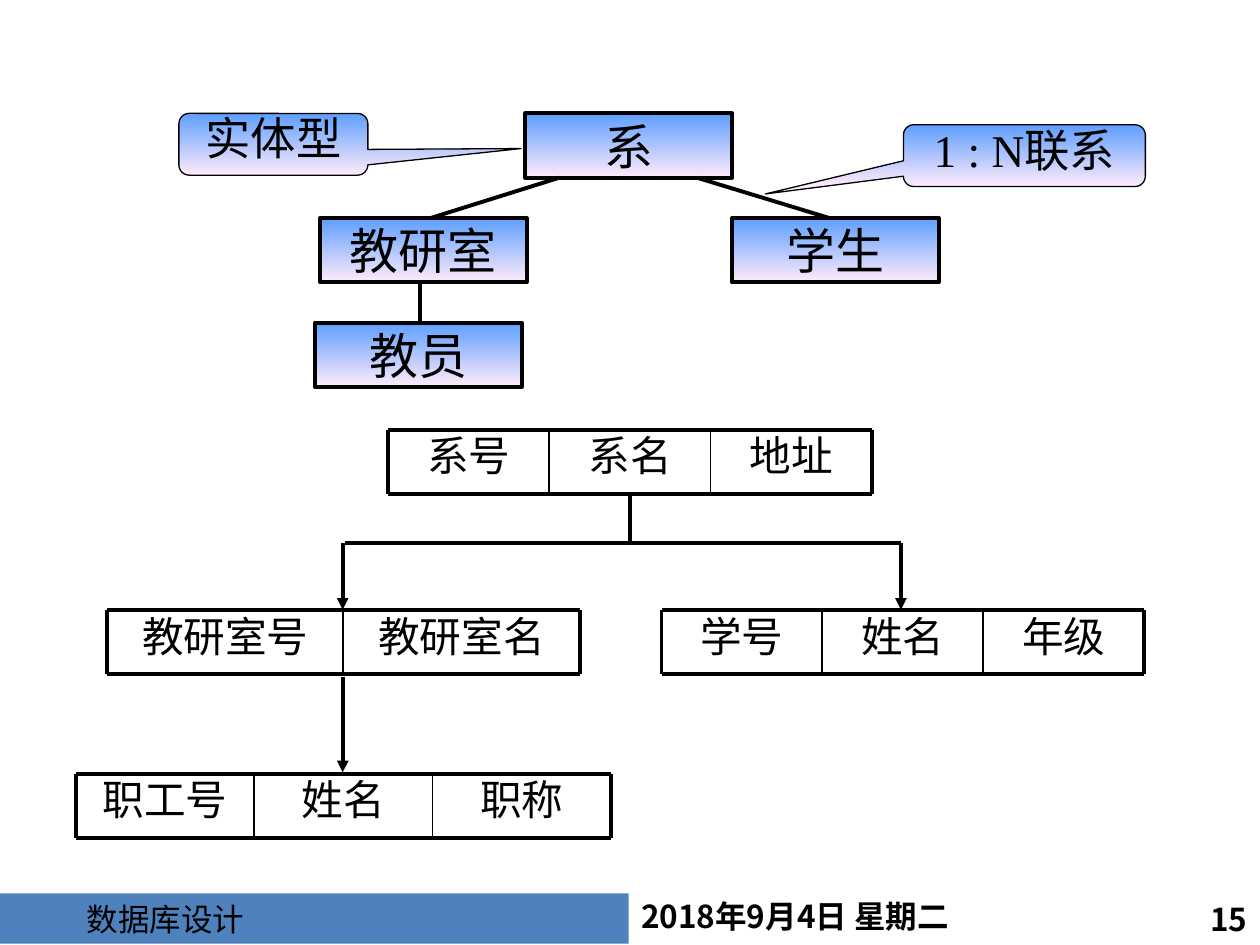
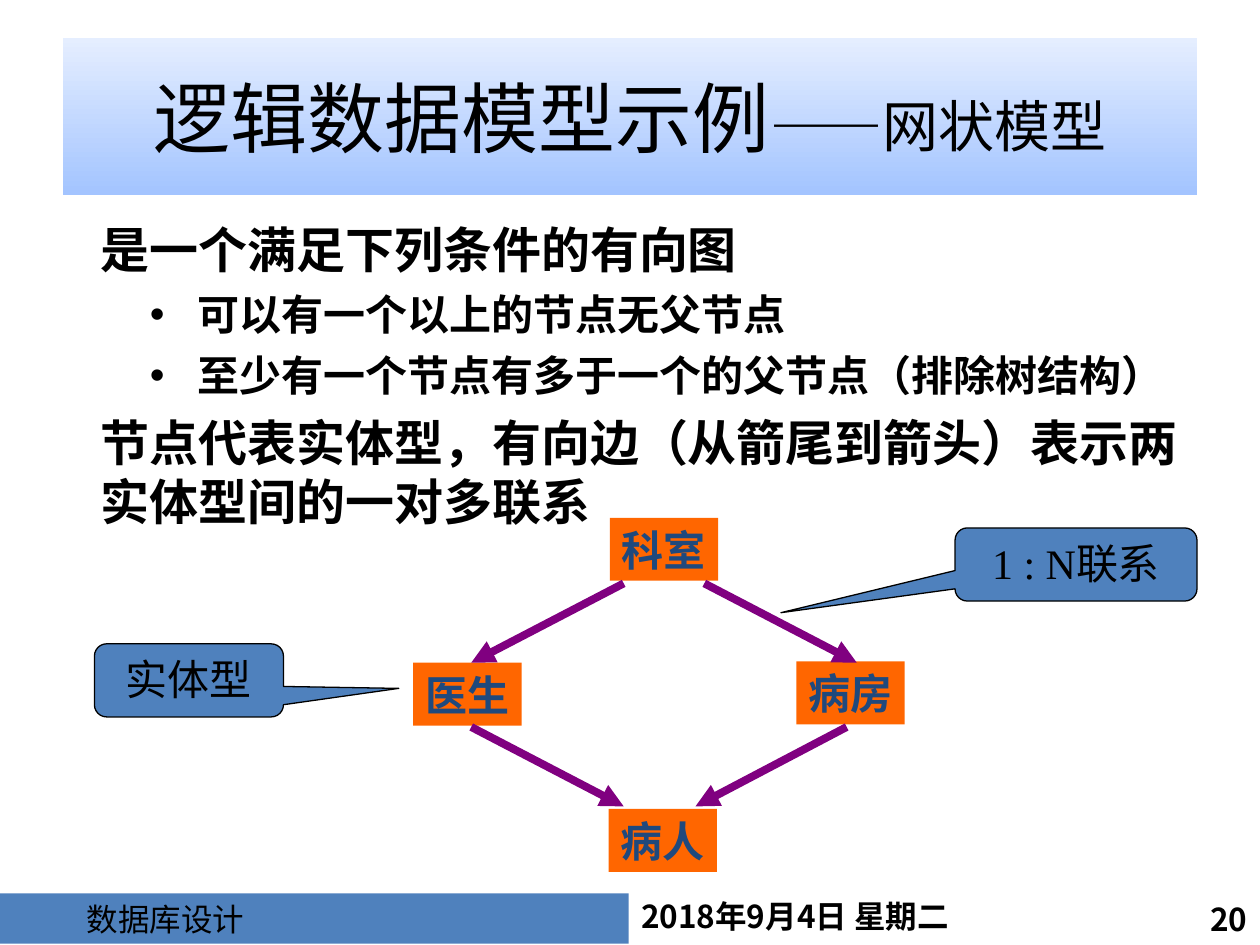
from lxml.etree import SubElement
from pptx import Presentation
from pptx.dml.color import RGBColor
from pptx.enum.shapes import MSO_CONNECTOR, MSO_SHAPE
from pptx.enum.text import MSO_ANCHOR, MSO_AUTO_SIZE, PP_ALIGN
from pptx.oxml.ns import qn
from pptx.util import Inches, Pt

HUES = {
    "ink": "000000", "bar": "4F81BD", "navy": "1F497D", "node": "FF6600",
    "edge": "800080", "sky": "5E9EFF", "rose": "FFEBFA",
    "pale": "E5EEFF", "blue": "A3C4FF",
}
SANS, SERIF = "Noto Sans CJK SC", "Times New Roman"
FADE = ("sky", "rose")
FLAT = {"margin_left": 0, "margin_right": 0, "margin_top": 0}
TIGHT = {**FLAT, "margin_bottom": 0}
MID = {"vertical_anchor": MSO_ANCHOR.MIDDLE}
TOP = {"vertical_anchor": MSO_ANCHOR.TOP}
MIDDLE = {"alignment": PP_ALIGN.CENTER}
ROW = 0.51


def hue(name):
    """Return the colour kept under a name."""
    return RGBColor.from_string(HUES[name])


def apply(item, form):
    """Set every attribute of a format dict."""
    for key, value in form.items():
        setattr(item, key, value)


class Deck:
    """Hold the style and the current slide."""

    def __init__(self):
        """Open an empty 4:3 deck."""
        self.file = Presentation()
        apply(self.file, {"slide_width": Inches(10), "slide_height": Inches(7.5)})

    def page(self, layout, number):
        """Start a slide with its footer."""
        self.slide = self.file.slides.add_slide(self.file.slide_layouts[layout])
        bold = {"bold": True}
        self.text((4.99, 7.07, 3.56, 0.4), "2018年9月4日 星期二", 18, SANS, font=bold)
        self.text((8.7, 7.09, 1.3, 0.46), number, 18, SANS,
                  {"alignment": PP_ALIGN.RIGHT}, font=bold)
        bar = self.shape(MSO_SHAPE.RECTANGLE, (0, 7.09, 4.99, 0.4), "bar")
        apply(bar.text_frame, TOP)
        para = self.words(bar.text_frame.paragraphs[0], "数据库设计", 18,
                          "Noto Sans CJK JP", {"alignment": PP_ALIGN.LEFT})
        self.indent(para, 0.59)

    def words(self, para, words, size, face, form=None, font=None, ink="ink"):
        """Add a formatted run to a paragraph."""
        apply(para, form or {})
        run = para.add_run()
        run.text = words
        apply(run.font, {"size": Pt(size), "name": face, **(font or {})})
        run.font.color.rgb = hue(ink)
        east = SubElement(run.font._element, qn("a:ea"))
        east.set("typeface", face if face.startswith("Noto") else SANS)
        return para

    def indent(self, para, left, first=0, dot=False):
        """Set the indents and the bullet of a paragraph."""
        props = para._p.get_or_add_pPr()
        props.set("marL", str(Inches(left)))
        props.set("indent", str(Inches(first)))
        if dot:
            SubElement(props, qn("a:buChar")).set("char", "•")
        else:
            SubElement(props, qn("a:buNone"))

    def paint(self, shape, fill):
        """Fill with one colour or with a pair fading downwards."""
        if isinstance(fill, tuple):
            shape.fill.gradient()
            shape.fill.gradient_angle = 270
            for stop, name in zip(shape.fill.gradient_stops, fill):
                stop.color.rgb = hue(name)
        else:
            shape.fill.solid()
            shape.fill.fore_color.rgb = hue(fill)

    def shape(self, kind, box, fill, width=0):
        """Add a filled shape, outlined if a width is given."""
        shape = self.slide.shapes.add_shape(kind, *map(Inches, box))
        shape.shadow.inherit = False
        self.paint(shape, fill)
        if width:
            shape.line.color.rgb = hue("ink")
            shape.line.width = Pt(width)
        else:
            shape.line.fill.background()
        return shape

    def text(self, box, words, size, face, form=None, font=None):
        """Add a text box."""
        frame = self.slide.shapes.add_textbox(*map(Inches, box)).text_frame
        frame.word_wrap = True
        self.words(frame.paragraphs[0], words, size, face, form, font)

    def box(self, left, top, words):
        """Add an outlined entity box."""
        box = self.shape(MSO_SHAPE.RECTANGLE, (left, top, 1.64, ROW), FADE, 2.25)
        apply(box.text_frame, {**TIGHT, **MID})
        self.words(box.text_frame.paragraphs[0], words, 28, SANS, MIDDLE)

    def node(self, left, top, words):
        """Add a graph node."""
        node = self.shape(MSO_SHAPE.RECTANGLE, (left, top, 0.86, 0.5), "node")
        apply(node.text_frame, {"word_wrap": False, **MID})
        self.words(node.text_frame.paragraphs[0], words, 24, SERIF,
                   {**MIDDLE, "space_before": Pt(15)}, {"bold": True}, "navy")

    def callout(self, box, tip, words, fill, size, frame, form):
        """Add a rounded callout pointing at a tip."""
        note = self.shape(MSO_SHAPE.ROUNDED_RECTANGULAR_CALLOUT, box, fill, 0.75)
        for spot, value in enumerate(tip):
            note.adjustments[spot] = value
        apply(note.text_frame, frame)
        self.words(note.text_frame.paragraphs[0], words, size, SERIF, {**MIDDLE, **form})

    def line(self, ends, width=2.25, ink="ink", arrow=False):
        """Add a straight line, with an arrowhead if asked."""
        line = self.slide.shapes.add_connector(MSO_CONNECTOR.STRAIGHT, *map(Inches, ends))
        line.line.color.rgb = hue(ink)
        line.line.width = Pt(width)
        if arrow:
            SubElement(line.line._get_or_add_ln(), qn("a:tailEnd")).set("type", "triangle")
        SubElement(line._element.spPr, qn("a:effectLst"))

    def record(self, left, top, wide, fields):
        """Add a ruled record of equal fields."""
        step, right, low = wide / len(fields), left + wide, top + ROW
        form = {**MIDDLE, "line_spacing": 0.9, "space_before": Pt(7)}
        for spot, field in enumerate(fields):
            self.text((left + spot * step, top, step, ROW), field, 23.8, "Karla", form)
        for y in (top, low):
            self.line((left, y, right, y))
        for spot in range(len(fields) + 1):
            x = left + spot * step
            self.line((x, top, x, low), 2.25 if spot in (0, len(fields)) else 1)

    def title(self, parts):
        """Fill the title placeholder with sized parts."""
        head = self.slide.shapes.title
        self.place(head, (0.5, 0.3, 9, 1.25))
        self.paint(head, ("pale", "blue"))
        apply(head.text_frame, MID)
        for words, size in parts:
            self.words(head.text_frame.paragraphs[0], words, size, SANS, MIDDLE)

    def place(self, shape, box):
        """Move a placeholder and stop its autofit."""
        apply(shape, dict(zip(("left", "top", "width", "height"), map(Inches, box))))
        apply(shape.text_frame, {"auto_size": MSO_AUTO_SIZE.NONE, "word_wrap": True})

    def body(self, items):
        """Fill the body placeholder with levelled items."""
        body = self.slide.placeholders[1]
        self.place(body, (0.5, 1.69, 9, 4.34))
        frame = body.text_frame
        for spot, (level, words) in enumerate(items):
            para = frame.add_paragraph() if spot else frame.paragraphs[0]
            self.words(para, words, 24 if level else 28, "Calibri",
                       {"level": level, "space_before": Pt(6 if level else 7)}, {"bold": True})
            self.indent(para, *((0.97, -0.38, True) if level else (0.2,)))


deck = Deck()

deck.page(6, "15")
for rec in (
    (3.08, 3.41, 3.84, ("系号", "系名", "地址")),
    (0.85, 4.84, 3.75, ("教研室号", "教研室名")),
    (5.25, 4.84, 3.83, ("学号", "姓名", "年级")),
    (0.6, 6.14, 4.25, ("职工号", "姓名", "职称")),
):
    deck.record(*rec)
for ends in ((2.72, 4.31, 2.72, 4.84), (7.15, 4.31, 7.15, 4.84), (2.72, 5.37, 2.72, 6.13)):
    deck.line(ends, arrow=True)
for ends in ((2.74, 4.31, 7.15, 4.31), (5, 3.94, 5, 4.31)):
    deck.line(ends)
for box in ((4.17, 0.9, "系"), (2.54, 1.73, "教研室"), (5.81, 1.73, "学生"), (2.5, 2.56, "教员")):
    deck.box(*box)
for ends in ((4.44, 1.41, 3.42, 1.73), (5.53, 1.41, 6.58, 1.73), (3.33, 2.23, 3.33, 2.57)):
    deck.line(ends)
for box, tip, words in (
    ((7.17, 0.99, 1.92, 0.49), (-1.07, 0.62), "1 : N联系"),
    ((1.42, 0.9, 1.5, 0.49), (1.31, 0.07), "实体型"),
):
    deck.callout(box, tip, words, FADE, 25.9, {**FLAT, **MID}, {"line_spacing": 0.9})

deck.page(1, "20")
deck.title((("逻辑数据模型示例", 44), ("——网状模型", 32)))
deck.body((
    (0, "是一个满足下列条件的有向图"),
    (1, "可以有一个以上的节点无父节点"),
    (1, "至少有一个节点有多于一个的父节点（排除树结构）"),
    (0, "节点代表实体型，有向边（从箭尾到箭头）表示两实体型间的一对多联系"),
))
for node in ((4.84, 4.11, "科室"), (3.28, 5.26, "医生"), (6.32, 5.25, "病房"), (4.83, 6.42, "病人")):
    deck.node(*node)
for ends in (
    (4.95, 4.63, 3.74, 5.26), (5.59, 4.63, 6.8, 5.26),
    (3.74, 5.77, 4.95, 6.4), (6.72, 5.77, 5.52, 6.4),
):
    deck.line(ends, 4.5, "edge", True)
for box, tip, words in (
    ((0.75, 5.11, 1.5, 0.58), (1.11, 0.11), "实体型"),
    ((7.58, 4.19, 1.92, 0.58), (-1.22, 0.66), "1 : N联系"),
):
    deck.callout(box, tip, words, "bar", 24, TOP, {})

deck.file.save("out.pptx")
